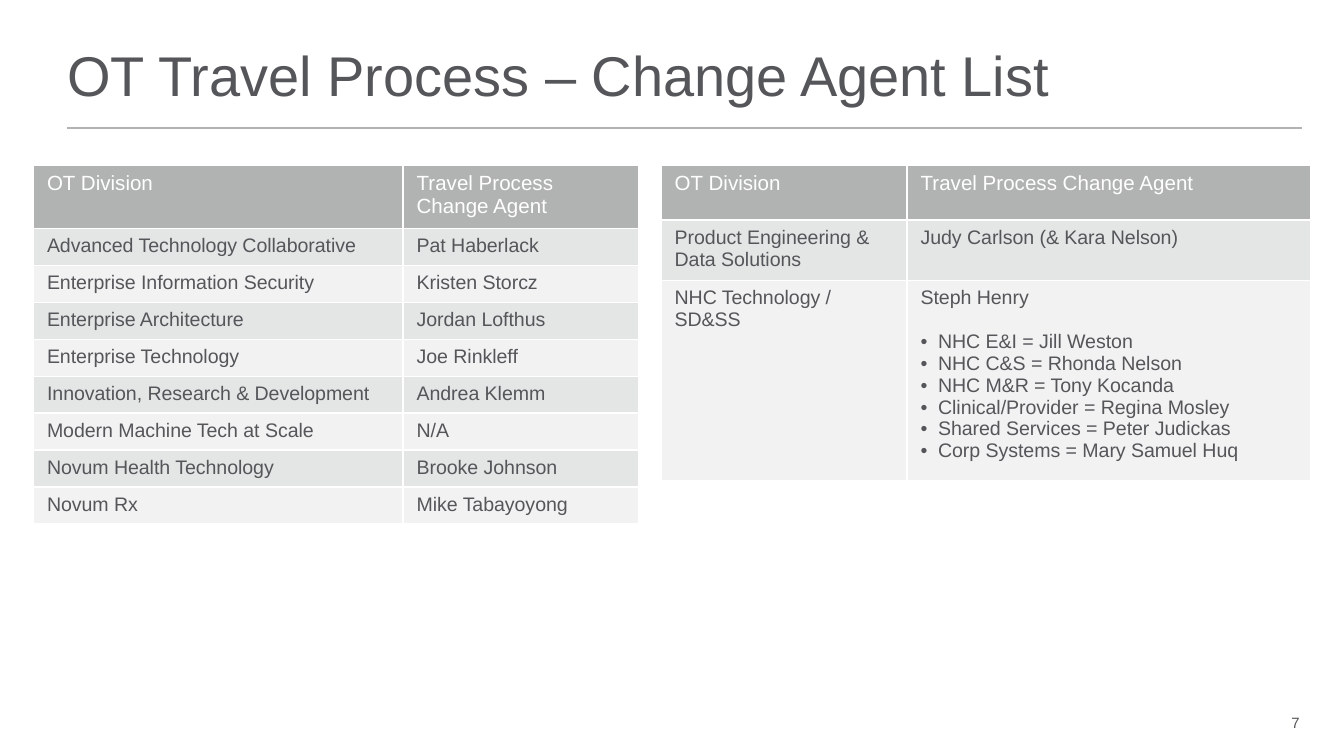
from dataclasses import dataclass

import pptx
import pptx.dml.color
import pptx.enum.shapes
import pptx.enum.text
import pptx.oxml.ns
import pptx.util
from lxml import etree

WIDTH = pptx.util.Inches(10)
HEIGHT = WIDTH * 9 // 16
MIDDLE = pptx.enum.text.MSO_ANCHOR.MIDDLE
BOTTOM = pptx.enum.text.MSO_ANCHOR.BOTTOM
LEFT, RIGHT = pptx.enum.text.PP_ALIGN.LEFT, pptx.enum.text.PP_ALIGN.RIGHT


@dataclass(frozen=True)
class Theme:
    """Colours, font and type sizes of the slide."""
    font: str = "Arial"
    ink: str = "55565A"
    white: str = "FFFFFF"
    grey: str = "B1B3B3"
    bands: tuple = ("E4E5E5", "F2F2F2")
    title: float = 30
    header: float = 11
    body: float = 10.5
    footer: float = 8


THEME = Theme()

DIVISIONS = [
    ("OT Division", "Travel Process Change Agent"),
    ("Advanced Technology Collaborative", "Pat Haberlack"),
    ("Enterprise Information Security", "Kristen Storcz"),
    ("Enterprise Architecture", "Jordan Lofthus"),
    ("Enterprise Technology", "Joe Rinkleff"),
    ("Innovation, Research & Development", "Andrea Klemm"),
    ("Modern Machine Tech at Scale", "N/A"),
    ("Novum Health Technology", "Brooke Johnson"),
    ("Novum Rx", "Mike Tabayoyong"),
]
# Lines after the first in a cell are bulleted.
SOLUTIONS = [
    DIVISIONS[0],
    ("Product Engineering & Data Solutions", "Judy Carlson (& Kara Nelson)"),
    ("NHC Technology / SD&SS",
     "Steph Henry\nNHC E&I = Jill Weston\nNHC C&S = Rhonda Nelson\n"
     "NHC M&R = Tony Kocanda\nClinical/Provider = Regina Mosley\n"
     "Shared Services = Peter Judickas\nCorp Systems = Mary Samuel Huq"),
]


def across(share):
    """Turn a share of the slide's width into a length."""
    return int(WIDTH * share)


def down(share):
    """Turn a percentage of the slide's height into a length."""
    return int(HEIGHT * share / 100)


def rgb(colour):
    """Read a hex colour."""
    return pptx.dml.color.RGBColor.from_string(colour)


def add_run(paragraph, text, size, colour):
    """Add one styled run."""
    run = paragraph.add_run()
    run.text = text
    run.font.name = THEME.font
    run.font.size = pptx.util.Pt(size)
    run.font.bold = False
    run.font.color.rgb = rgb(colour)


def add_label(slide, box, text, size, anchor, align, wrap=True):
    """Add a line of text in a box without insets."""
    frame = slide.shapes.add_textbox(*box).text_frame
    frame.margin_left = frame.margin_right = 0
    frame.margin_top = frame.margin_bottom = 0
    frame.word_wrap = wrap
    frame.vertical_anchor = anchor
    frame.paragraphs[0].alignment = align
    add_run(frame.paragraphs[0], text, size, THEME.ink)


def add_rule(slide, start, end, top):
    """Add the rule below the title."""
    rule = slide.shapes.add_connector(
        pptx.enum.shapes.MSO_CONNECTOR.STRAIGHT, start, top, end, top)
    rule.line.color.rgb = rgb(THEME.grey)
    rule.line.width = pptx.util.Pt(1)
    etree.SubElement(rule._element.spPr, pptx.oxml.ns.qn("a:effectLst"))


def set_bullet(paragraph):
    """Give a paragraph a hanging bullet."""
    properties = paragraph._p.get_or_add_pPr()
    hang = pptx.util.Inches(0.13)
    properties.set("marL", str(hang))
    properties.set("indent", str(-hang))
    typeface = etree.SubElement(properties, pptx.oxml.ns.qn("a:buFont"))
    typeface.set("typeface", THEME.font)
    bullet = etree.SubElement(properties, pptx.oxml.ns.qn("a:buChar"))
    bullet.set("char", "•")


def fill_cell(cell, text, row):
    """Write and colour a cell by its row: header first, then bands."""
    header = row == 0
    size = THEME.header if header else THEME.body
    cell.fill.solid()
    cell.fill.fore_color.rgb = rgb(
        THEME.grey if header else THEME.bands[(row - 1) % 2])
    frame = cell.text_frame
    for index, line in enumerate(text.split("\n")):
        paragraph = frame.add_paragraph() if index else frame.paragraphs[0]
        if index == 1:
            paragraph.space_before = pptx.util.Pt(12)
        if index:
            set_bullet(paragraph)
        add_run(paragraph, line, size, THEME.white if header else THEME.ink)


def add_agents(slide, left, height, columns, row_heights, entries):
    """Add a table of agents; its style draws the white borders."""
    holder = slide.shapes.add_table(
        len(entries), len(columns), across(left), down(21.9),
        across(sum(columns)), down(height))
    agents = holder.table
    for column, share in zip(agents.columns, columns):
        column.width = across(share)
    for row, (row_height, entry) in enumerate(zip(row_heights, entries)):
        agents.rows[row].height = down(row_height)
        for column, text in enumerate(entry):
            fill_cell(agents.cell(row, column), text, row)
    holder.height = down(height)


def main():
    """Build the slide and save it."""
    deck = pptx.Presentation()
    deck.slide_width, deck.slide_height = WIDTH, HEIGHT
    slide = deck.slides.add_slide(deck.slide_layouts[6])
    add_rule(slide, across(0.05), across(0.969), down(16.93))
    add_label(slide, (across(0.05), down(1.25), across(0.918), down(13)),
              "OT Travel Process – Change Agent List", THEME.title, BOTTOM, LEFT)
    add_label(slide, (across(0.925), down(93.85), across(0.042), down(3.5)),
              "7", THEME.footer, MIDDLE, RIGHT, wrap=False)
    add_agents(slide, 0.025, 47.5, (0.275, 0.175), [7.7] + [4.65] * 8, DIVISIONS)
    add_agents(slide, 0.492, 42, (0.183, 0.3), (7.2, 7.5, 24.6), SOLUTIONS)
    deck.save("out.pptx")


main()
